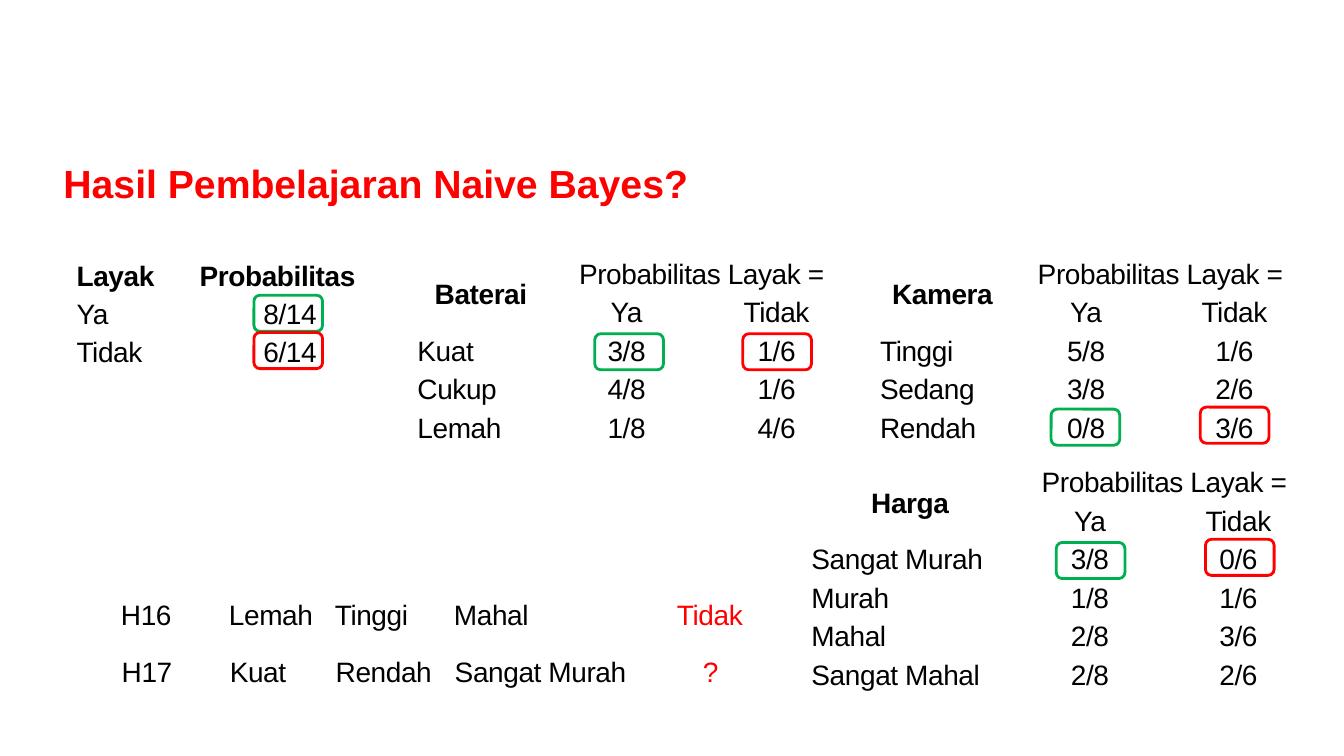
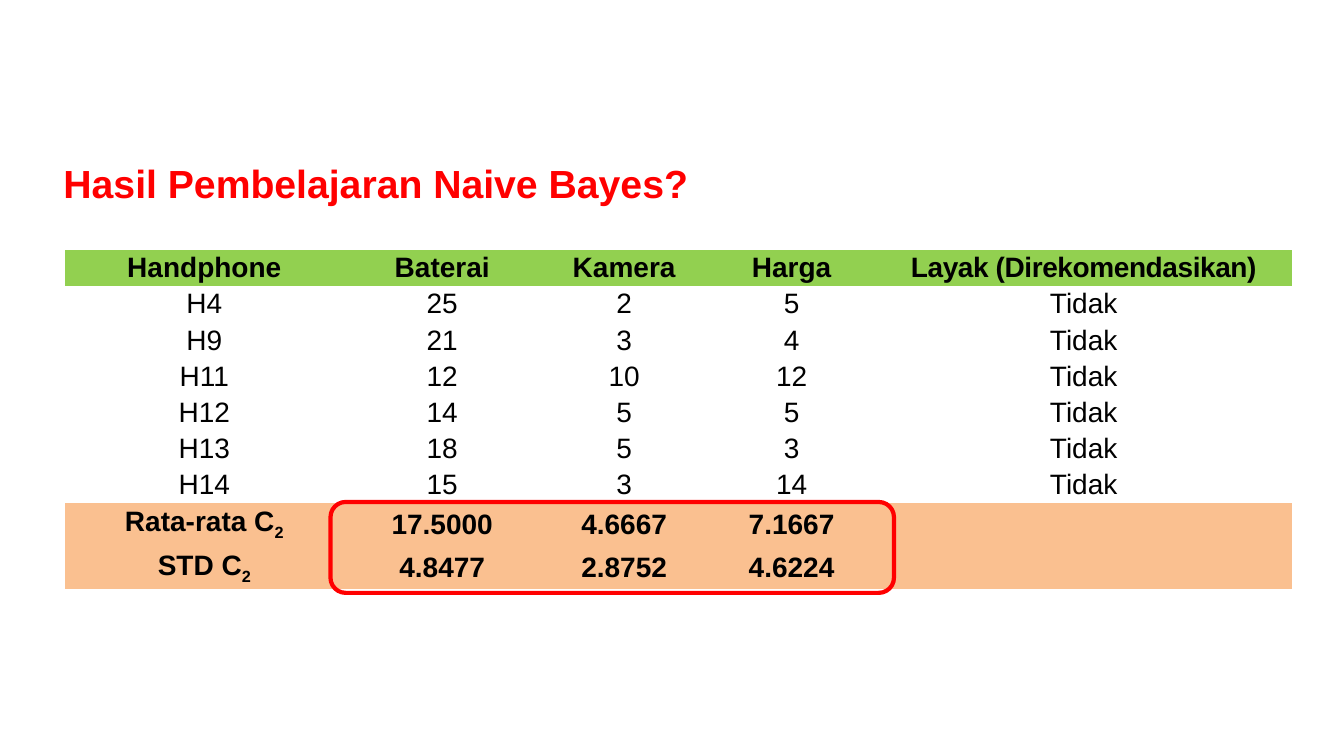
from lxml import etree
from pptx import Presentation
from pptx.dml.color import RGBColor
from pptx.enum.shapes import MSO_SHAPE as SHAPE
from pptx.enum.text import MSO_ANCHOR as ANCHOR, PP_ALIGN as ALIGN
from pptx.oxml.ns import qn
from pptx.util import Cm, Pt

# Shared look
FONT = "Arial"
BLACK, RED, GREEN = "000000", "FF0000", "00B050"
HEADER_FILL, SUMMARY_FILL = "92D050", "FAC090"
PLAIN_TABLE = "{2D5ABB26-0587-4C30-8999-92F81FD0307C}"
TITLE = "Hasil Pembelajaran Naive Bayes?"
ROW = 0.97
RING_SIZE = (1.73, 0.91)


def color(value):
    return RGBColor.from_string(value)


def set_all(target, values):
    for name, value in values.items():
        setattr(target, name, value)


def add_span(para, text, size=20, bold=False, ink=BLACK, extras=None):
    span = para.add_run()
    span.text = text
    set_all(span.font, {"name": FONT, "size": Pt(size), "bold": bold})
    span.font.color.rgb = color(ink)
    for name, value in (extras or {}).items():
        span._r.get_or_add_rPr().set(name, value)


def add_title(page):
    box = page.shapes.add_textbox(Cm(1.35), Cm(3.71), Cm(30.84), Cm(1.78))
    frame = box.text_frame
    set_all(frame, {"word_wrap": True, "vertical_anchor": ANCHOR.MIDDLE})
    for side in ("left", "top", "right", "bottom"):
        setattr(frame, f"margin_{side}", Cm(0.25))
    add_span(frame.paragraphs[0], TITLE, size=28, bold=True, ink=RED)


def add_ring(page, left, top, width, height, ink, weight=2):
    ring = page.shapes.add_shape(
        SHAPE.ROUNDED_RECTANGLE, Cm(left), Cm(top), Cm(width), Cm(height))
    ring.shadow.inherit = False
    ring.fill.background()
    ring.line.color.rgb = color(ink)
    ring.line.width = Pt(weight)


def fill_cell(cell, text, align=ALIGN.CENTER, anchor=ANCHOR.TOP, margin=0.18,
              leading=1.15, fill=None, bold=False, ink=BLACK, tight=True):
    """Write a cell; an underscore in the text starts a subscript."""
    set_all(cell, {"margin_left": Cm(margin), "margin_right": Cm(margin),
                   "margin_top": 0, "margin_bottom": 0, "vertical_anchor": anchor})
    if fill:
        cell.fill.solid()
        cell.fill.fore_color.rgb = color(fill)
    else:
        cell.fill.background()
    if not text:
        return
    para = cell.text_frame.paragraphs[0]
    set_all(para, {"alignment": align, "line_spacing": leading})
    base, _, subscript = text.partition("_")
    add_span(para, base, bold=bold, ink=ink, extras={"spc": "-30"} if tight else None)
    if subscript:
        add_span(para, subscript, bold=bold, ink=ink, extras={"baseline": "-25000"})


def add_grid(page, left, top, widths, heights, rows, cell_style):
    """Add a table; cell_style(row, column) gives the format of each cell."""
    frame = page.shapes.add_table(len(rows), len(widths), Cm(left), Cm(top),
                                  Cm(sum(widths)), Cm(sum(heights)))
    table = frame.table
    set_all(table, {"first_row": False, "horz_banding": False})
    properties = table._tbl.tblPr
    style = properties.find(qn("a:tableStyleId"))
    if style is None:
        style = etree.SubElement(properties, qn("a:tableStyleId"))
    style.text = PLAIN_TABLE
    for column, width in zip(table.columns, widths):
        column.width = Cm(width)
    for row, height in zip(table.rows, heights):
        row.height = Cm(height)
    for r, values in enumerate(rows):
        for c, text in enumerate(values):
            fill_cell(table.cell(r, c), text, **cell_style(r, c))
    return table


# Cell formats
def class_style(r, c):
    centered = r > 0 and c == 1
    return {"bold": r == 0, "align": ALIGN.CENTER if centered else ALIGN.LEFT}


def feature_style(r, c):
    if c == 0 and r < 2:
        return {"bold": True, "anchor": ANCHOR.MIDDLE}
    return {"align": ALIGN.LEFT if c == 0 else ALIGN.CENTER}


def phone_style(r, c):
    return {"align": ALIGN.CENTER if c in (0, 4) else ALIGN.LEFT,
            "ink": RED if c == 4 else BLACK}


def statistics_style(r, c):
    fill = HEADER_FILL if r == 0 else SUMMARY_FILL if r > 6 else None
    return {"anchor": ANCHOR.MIDDLE, "margin": 0.03, "leading": 1.0, "fill": fill,
            "bold": fill is not None, "tight": (r, c) == (0, 4)}


def add_feature(page, left, top, widths, name, chances):
    rows = [(name, "Probabilitas Layak =", ""), ("", "Ya", "Tidak"), *chances]
    table = add_grid(page, left, top, widths, [ROW] * len(rows), rows, feature_style)
    table.cell(0, 0).merge(table.cell(1, 0))
    table.cell(0, 1).merge(table.cell(0, 2))


def build_probabilities(page):
    # Probability tables
    add_grid(page, 1.75, 6.45, (3.1, 4.92), [ROW] * 3,
             [("Layak", "Probabilitas"), ("Ya", "8/14"), ("Tidak", "6/14")],
             class_style)
    add_feature(page, 10.34, 6.4, (3.56, 3.78, 3.78), "Baterai", [
        ("Kuat", "3/8", "1/6"), ("Cukup", "4/8", "1/6"), ("Lemah", "1/8", "4/6")])
    add_feature(page, 22, 6.4, (3.5, 3.74, 3.74), "Kamera", [
        ("Tinggi", "5/8", "1/6"), ("Sedang", "3/8", "2/6"), ("Rendah", "0/8", "3/6")])
    add_feature(page, 20.27, 11.66, (5.33, 3.74, 3.74), "Harga", [
        ("Sangat Murah", "3/8", "0/6"), ("Murah", "1/8", "1/6"),
        ("Mahal", "2/8", "3/6"), ("Sangat Mahal", "2/8", "2/6")])
    # Phones to classify
    phones = [(1.78, 15.01, ("H16", "Lemah", "Tinggi", "Mahal", "Tidak")),
              (1.8, 16.43, ("H17", "Kuat", "Rendah", "Sangat Murah", "?"))]
    for left, top, phone in phones:
        add_grid(page, left, top, (3.81, 2.67, 3, 5.07, 3.12), [ROW], [phone],
                 phone_style)
    add_title(page)
    # Chances used for H17
    rings = {GREEN: [(14.99, 8.41), (26.49, 10.31), (26.62, 13.67), (6.4, 7.44)],
             RED: [(18.72, 8.41), (30.25, 10.26), (30.38, 13.59), (6.4, 8.38)]}
    for ink, places in rings.items():
        for left, top in places:
            add_ring(page, left, top, *RING_SIZE, ink)


def build_statistics(page):
    add_title(page)
    phones = [("H4", "25", "2", "5"), ("H9", "21", "3", "4"),
              ("H11", "12", "10", "12"), ("H12", "14", "5", "5"),
              ("H13", "18", "5", "3"), ("H14", "15", "3", "14")]
    rows = [("Handphone", "Baterai", "Kamera", "Harga", "Layak (Direkomendasikan)"),
            *[(*phone, "Tidak") for phone in phones],
            ("Rata-rata C_2", "17.5000", "4.6667", "7.1667", ""),
            ("STD C_2", "4.8477", "2.8752", "4.6224", "")]
    add_grid(page, 1.63, 6.3, (7.04, 4.95, 4.22, 4.22, 10.5),
             [0.91] * 7 + [1.09] * 2, rows, statistics_style)
    add_ring(page, 8.33, 12.65, 14.2, 2.29, RED, weight=3)


def main():
    deck = Presentation()
    set_all(deck, {"slide_width": Cm(33.87), "slide_height": Cm(19.05)})
    for build in (build_probabilities, build_statistics):
        build(deck.slides.add_slide(deck.slide_layouts[6]))
    deck.save("out.pptx")


if __name__ == "__main__":
    main()
